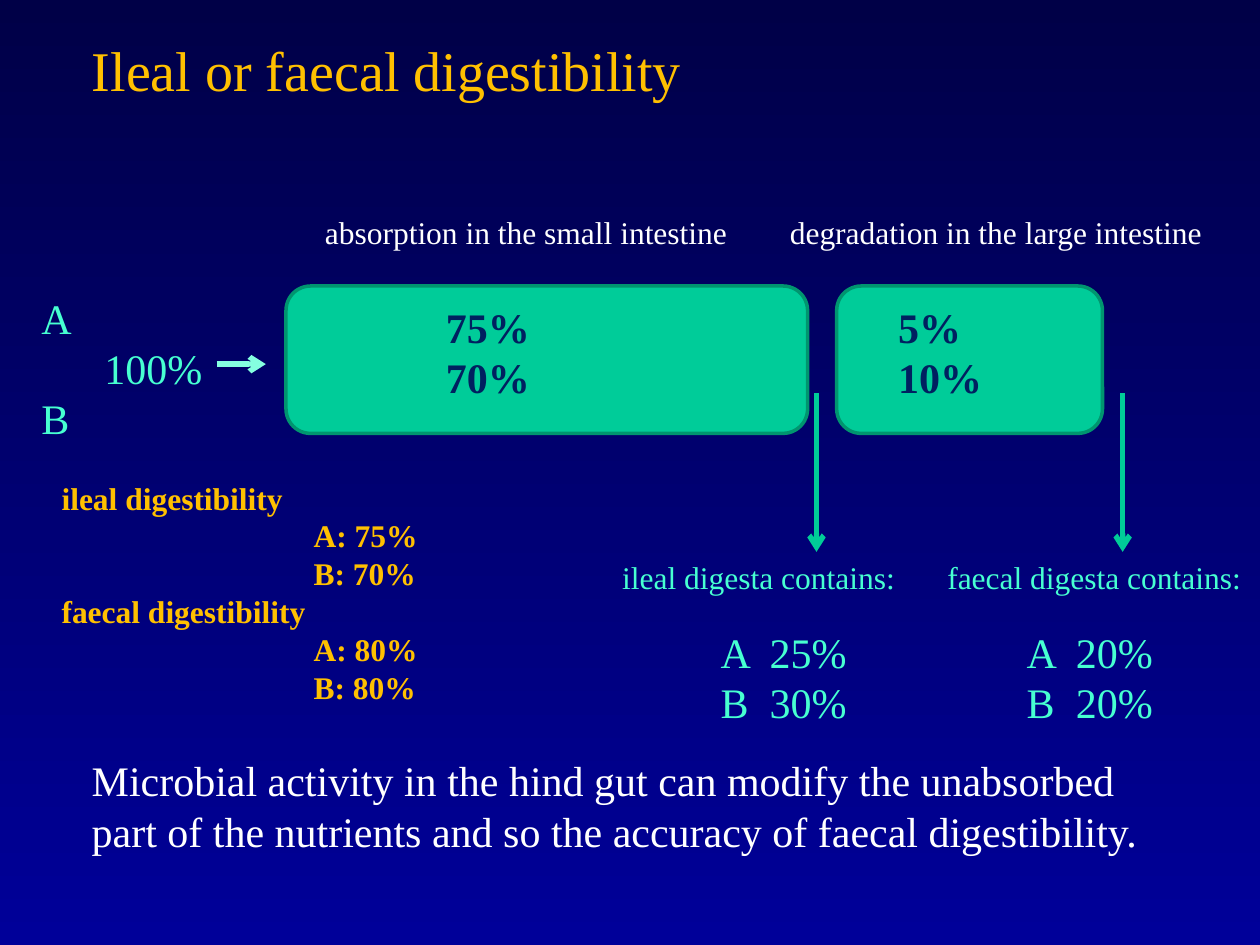
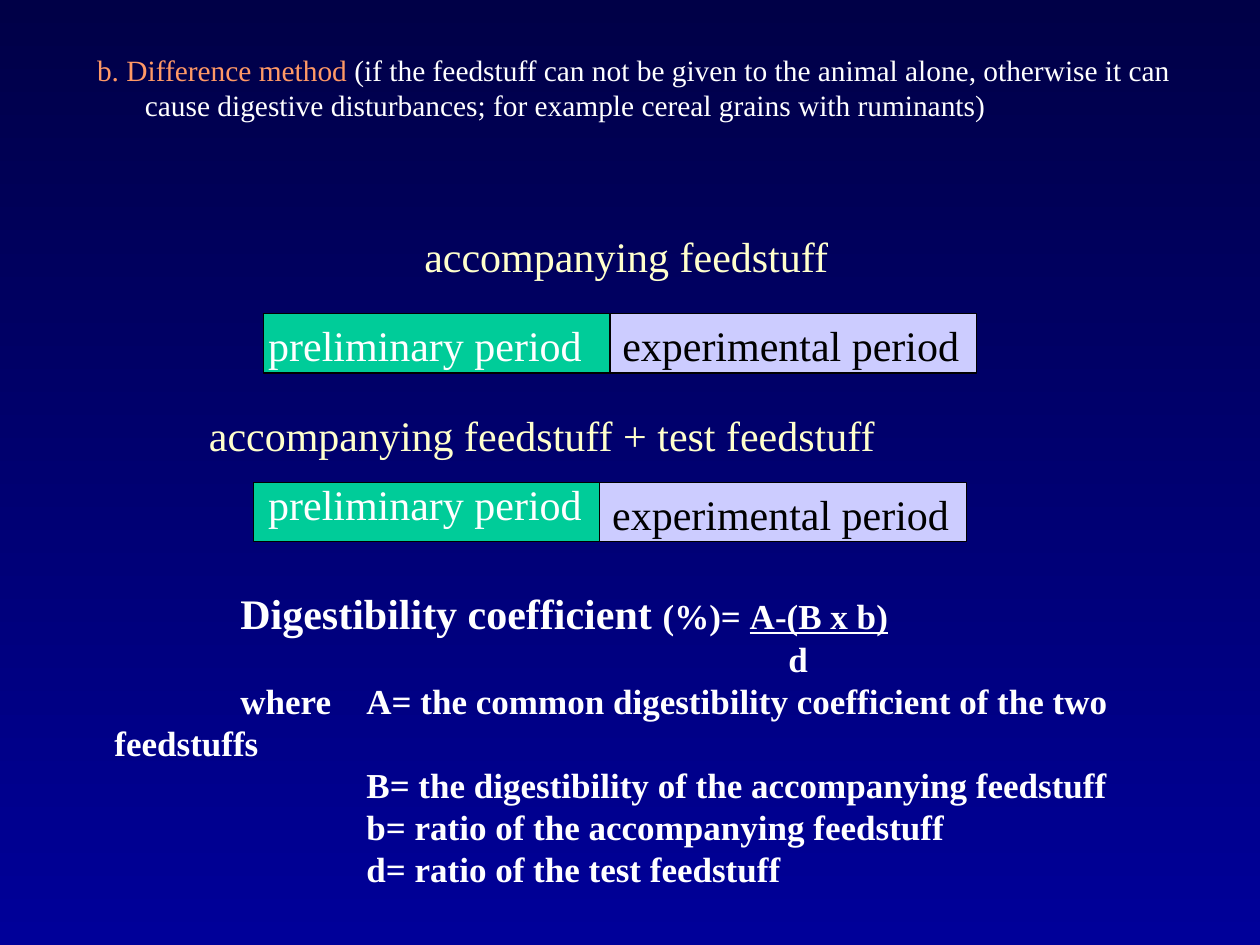
from dataclasses import dataclass

from lxml.etree import SubElement
from pptx import Presentation
from pptx.dml.color import RGBColor
from pptx.enum.shapes import MSO_CONNECTOR, MSO_SHAPE
from pptx.enum.text import MSO_ANCHOR, MSO_AUTO_SIZE, PP_ALIGN
from pptx.oxml.ns import qn
from pptx.util import Inches, Pt

FONT = "Times New Roman"
NIGHT, BLUE = RGBColor(0x00, 0x00, 0x47), RGBColor(0x00, 0x00, 0x99)
GOLD, ORANGE = RGBColor(0xFF, 0xC0, 0x00), RGBColor(0xFF, 0x99, 0x66)
WHITE, BLACK = RGBColor(0xFF, 0xFF, 0xFF), RGBColor(0x00, 0x00, 0x00)
CREAM, LILAC = RGBColor(0xFF, 0xFF, 0xCC), RGBColor(0xCC, 0xCC, 0xFF)
GREEN, DARK_GREEN = RGBColor(0x00, 0xCC, 0x99), RGBColor(0x00, 0x95, 0x6F)
ARROW_GREEN, PALE_GREEN = RGBColor(0x00, 0xCC, 0x98), RGBColor(0x85, 0xFF, 0xE0)
AQUA, NAVY = RGBColor(0x47, 0xFF, 0xD1), RGBColor(0x00, 0x20, 0x60)


@dataclass
class Line:
    """One paragraph: runs are (text, format overrides); lengths in inches."""
    runs: list
    left: float = 0
    first: float = 0
    tabs: tuple = ()


def line(text, **layout):
    return Line([(text, {})], **layout)


# Content: ileal and faecal digestibility
ILEAL_TITLE = [line("Ileal or faecal digestibility", left=0.38, first=-0.38)]
INTAKE = ["A", line("100%", left=0.5), "B"]
# heading, heading left and width, gut left and width, shares, shares left
GUT_PARTS = [
    ("absorption in the small intestine", 2.48, 3.85, 2.27, 4.14, ["75%", "70%"], 3.44),
    ("degradation in the large intestine", 6.17, 3.52, 6.64, 2.11, ["5%", "10%"], 7.03),
]
# heading, heading left and width, arrow x, amounts
DIGESTA = [
    ("ileal digesta contains:", 4.84, 2.5, 6.48, ["A\t25%", "B\t30%"]),
    ("faecal digesta contains:", 7.42, 2.58, 8.91, ["A\t20%", "B\t20%"]),
]
DIGESTIBILITY = [("ileal digestibility", ["A: 75%", "B: 70%"]),
                 ("faecal digestibility", ["A: 80%", "B: 80%"])]
CONCLUSION = ("Microbial activity in the hind gut can modify the unabsorbed part of "
              "the nutrients and so the accuracy of faecal digestibility.")

# Content: difference method
METHOD_TITLE = [Line([
    ("b. Difference method ", {"color": ORANGE}),
    ("(if the feedstuff can not be given to the animal alone, otherwise it can cause "
     "digestive disturbances; for example cereal grains with ruminants)", {}),
], left=0.38, first=-0.38)]
# feed, feed box (left, top, width), bar left and top, top of the first period's text
FEEDING_TRIALS = [
    ("accompanying feedstuff", (3.27, 1.78, 3.5), 2.09, 2.49, 2.49),
    ("accompanying feedstuff + test feedstuff", (1.56, 3.2, 6.19), 2.01, 3.83, 3.75),
]
PRELIMINARY_LEFT, PRELIMINARY_WIDTH, EXPERIMENTAL_WIDTH = 2.03, 2.75, 2.91
FORMULA = [
    Line([("\tDigestibility coefficient ", {"size": 24}), ("(%)= ", {}),
          ("A-(B x b)", {"underline": True})], left=0.5, tabs=(1,)),
    line("\td", left=0.5, tabs=(5.35,)),
    line("\twhere\tA= the common digestibility coefficient of the two feedstuffs",
         left=0.5, tabs=(1, 2)),
] + [line(text, left=2.5) for text in (
    "B= the digestibility of the accompanying feedstuff",
    "b= ratio of the accompanying feedstuff",
    "d= ratio of the test feedstuff")]


def write(frame, lines, size=24, color=WHITE, bold=False):
    frame.word_wrap = True
    frame.auto_size = MSO_AUTO_SIZE.NONE
    frame.vertical_anchor = MSO_ANCHOR.TOP
    for index, item in enumerate(lines):
        item = line(item) if isinstance(item, str) else item
        paragraph = frame.add_paragraph() if index else frame.paragraphs[0]
        paragraph.alignment = PP_ALIGN.LEFT
        properties = paragraph._p.get_or_add_pPr()
        # LibreOffice drops tab stops when an indent is stated, even a zero one
        for name, length in (("marL", item.left), ("indent", item.first)):
            if length:
                properties.set(name, str(Inches(length)))
        if item.tabs:
            stops = SubElement(properties, qn("a:tabLst"))
            for position in item.tabs:
                SubElement(stops, qn("a:tab"), pos=str(Inches(position)), algn="l")
        for text, changes in item.runs:
            run = paragraph.add_run()
            run.text = text
            run.font.name = FONT
            run.font.size = Pt(changes.get("size", size))
            run.font.color.rgb = changes.get("color", color)
            run.font.bold = bold
            run.font.underline = changes.get("underline", False)


def add_text(slide, lines, left, top, width, height=0.5, **text_format):
    box = slide.shapes.add_textbox(*map(Inches, (left, top, width, height)))
    write(box.text_frame, lines, **text_format)


def add_title_slide(presentation, lines, box, **text_format):
    slide = presentation.slides.add_slide(presentation.slide_layouts[5])
    title = slide.shapes.title
    title.left, title.top, title.width, title.height = map(Inches, box)
    write(title.text_frame, lines, **text_format)
    return slide


def add_block(slide, kind, box, fill, outline, outline_width):
    shape = slide.shapes.add_shape(kind, *map(Inches, box))
    shape.shadow.inherit = False
    shape.fill.solid()
    shape.fill.fore_color.rgb = fill
    shape.line.color.rgb = outline
    shape.line.width = Pt(outline_width)


def add_arrow(slide, start, end, color):
    arrow = slide.shapes.add_connector(MSO_CONNECTOR.STRAIGHT, *map(Inches, start + end))
    arrow.line.color.rgb = color
    arrow.line.width = Pt(3)
    SubElement(arrow.line._get_or_add_ln(), qn("a:tailEnd"), type="arrow")
    SubElement(arrow._element.spPr, qn("a:effectLst"))


def set_background(master):
    fill = master.background.fill
    fill.gradient()
    fill.gradient_angle = 270
    for stop, color, position in zip(fill.gradient_stops, (NIGHT, BLUE), (0, 1)):
        stop.color.rgb = color
        stop.position = position


def build_ileal_slide(presentation):
    slide = add_title_slide(presentation, ILEAL_TITLE, (0.63, 0.23, 8.5, 0.7),
                            size=32, color=GOLD)
    for heading, left, width, gut_left, gut_width, shares, shares_left in GUT_PARTS:
        add_text(slide, [heading], left, 1.64, width, 0.4, size=18)
        add_block(slide, MSO_SHAPE.ROUNDED_RECTANGLE, (gut_left, 2.27, gut_width, 1.17),
                  GREEN, DARK_GREEN, 2)
        add_text(slide, shares, shares_left, 2.34, 1.33, 0.9, color=NAVY, bold=True)

    add_text(slide, INTAKE, 0.23, 2.27, 1.64, 1.3, color=AQUA)
    add_arrow(slide, (1.72, 2.89), (2.11, 2.89), PALE_GREEN)

    for heading, left, width, arrow_x, amounts in DIGESTA:
        add_arrow(slide, (arrow_x, 3.12), (arrow_x, 4.38), ARROW_GREEN)
        add_text(slide, [heading], left, 4.38, width, 0.4, size=18, color=AQUA)
        add_text(slide, [line(amount, tabs=(0.39,)) for amount in amounts],
                 arrow_x - 0.86, 4.92, 1.48, 0.9, color=AQUA)

    results = []
    for heading, values in DIGESTIBILITY:
        results += [heading] + [line(value, left=2) for value in values]
    add_text(slide, results, 0.39, 3.75, 3.28, 1.9, size=18, color=GOLD, bold=True)
    add_text(slide, [CONCLUSION], 0.63, 5.94, 8.83, 0.9)


def build_method_slide(presentation):
    slide = add_title_slide(presentation, METHOD_TITLE, (0.67, 0.36, 8.74, 1.02), size=16.8)
    for feed, feed_box, left, top, preliminary_top in FEEDING_TRIALS:
        middle = left + PRELIMINARY_WIDTH
        add_text(slide, [feed], *feed_box, color=CREAM)
        for bar_left, width, fill in ((left, PRELIMINARY_WIDTH, GREEN),
                                      (middle, EXPERIMENTAL_WIDTH, LILAC)):
            add_block(slide, MSO_SHAPE.RECTANGLE, (bar_left, top, width, 0.47),
                      fill, BLACK, 0.75)
        add_text(slide, ["preliminary period"], PRELIMINARY_LEFT, preliminary_top, 2.81)
        add_text(slide, ["experimental period"], middle, top, 2.95, color=BLACK)
    add_text(slide, FORMULA, 0.31, 4.61, 9.37, 2.89, size=20, bold=True)


def main():
    presentation = Presentation()
    presentation.slide_width, presentation.slide_height = Inches(10), Inches(7.5)
    set_background(presentation.slide_master)
    build_ileal_slide(presentation)
    build_method_slide(presentation)
    presentation.save("out.pptx")


if __name__ == "__main__":
    main()
